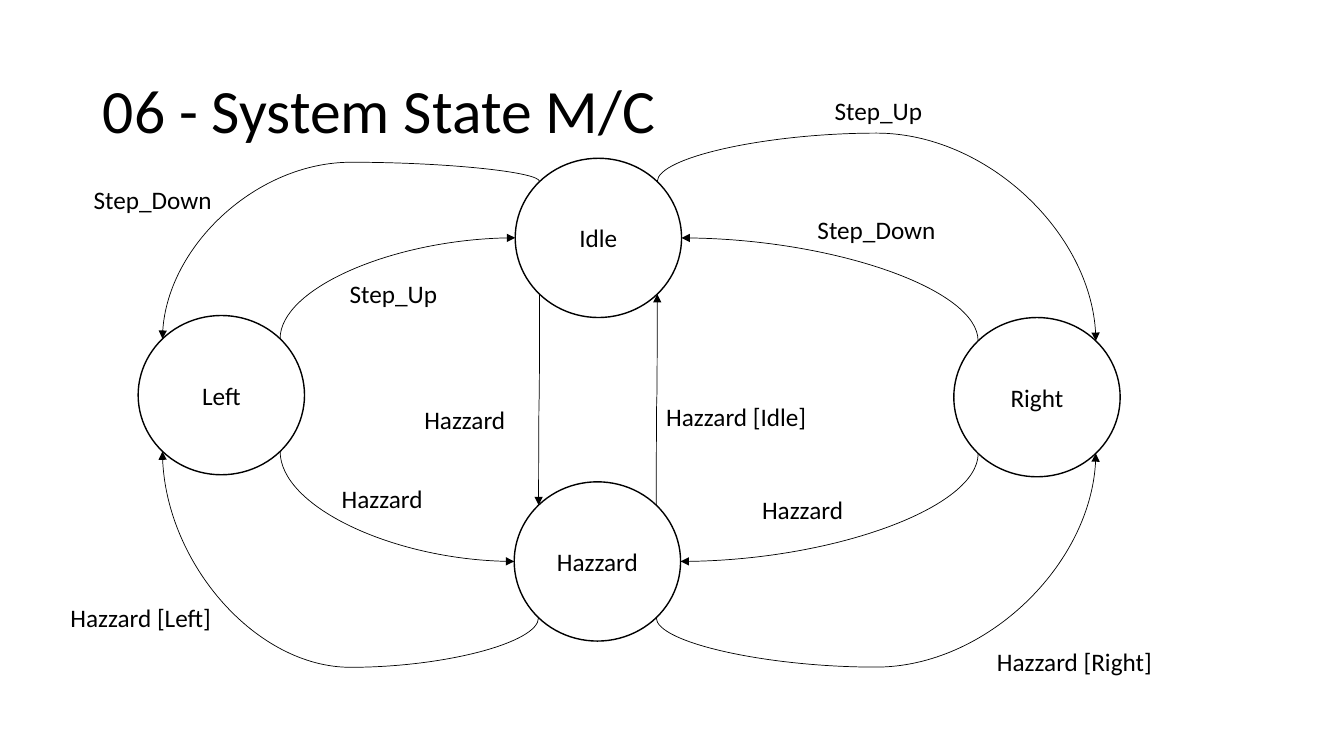
from math import sqrt
from pptx import Presentation
from pptx.dml.color import RGBColor
from pptx.enum.shapes import MSO_CONNECTOR, MSO_SHAPE
from pptx.enum.text import MSO_ANCHOR as ANCHOR, PP_ALIGN as ALIGN
from pptx.oxml.ns import qn
from pptx.util import Inches, Pt
from lxml.etree import SubElement

BLACK, WHITE, FONT = "000000", "FFFFFF", "Calibri"
STATE_WIDTH, STATE_HEIGHT = 1.65, 1.58

TITLE = "06 - System State M/C"

# State name: left, top
STATES = {
    "Idle": (5.11, 1.57),
    "Hazzard": (5.1, 4.78),
    "Left": (1.37, 3.13),
    "Right": (9.46, 3.15),
}

# Connection sites of an ellipse: index, direction from its centre
DIAGONAL = 1 / sqrt(2)
SITES = {
    "top left": (1, -DIAGONAL, -DIAGONAL),
    "left": (2, -1, 0),
    "bottom left": (3, -DIAGONAL, DIAGONAL),
    "bottom right": (5, DIAGONAL, DIAGONAL),
    "right": (6, 1, 0),
    "top right": (7, DIAGONAL, -DIAGONAL),
}

# From state and site, to state and site, height of the bend (None: halfway)
TRANSITIONS = [
    ("Idle", "top left", "Left", "top left", 1.61),
    ("Left", "top right", "Idle", "left", None),
    ("Idle", "top right", "Right", "top right", 1.32),
    ("Right", "top left", "Idle", "right", None),
    ("Idle", "bottom left", "Hazzard", "top left", None),
    ("Hazzard", "top right", "Idle", "bottom right", None),
    ("Hazzard", "bottom left", "Left", "bottom left", 6.62),
    ("Left", "bottom right", "Hazzard", "left", None),
    ("Hazzard", "bottom right", "Right", "bottom right", 6.62),
    ("Right", "bottom left", "Hazzard", "right", None),
]

# Label: left, top, width
LABELS = [
    ("Step_Down", 0.83, 1.78, 1.7),
    ("Step_Up", 3.37, 2.71, 1.7),
    ("Step_Up", 8.18, 0.9, 1.7),
    ("Step_Down", 8.01, 2.08, 1.7),
    ("Hazzard [Idle]", 6.51, 3.93, 1.7),
    ("Hazzard", 4.11, 3.96, 1.7),
    ("Hazzard", 3.29, 4.75, 1.7),
    ("Hazzard [Left]", 0.6, 5.93, 1.7),
    ("Hazzard", 7.46, 4.86, 1.7),
    ("Hazzard [Right]", 9.79, 6.36, 2.34),
]


def color(value):
    return RGBColor.from_string(value)


def write(shape, text, size=18, align=ALIGN.LEFT, anchor=ANCHOR.TOP, spacing=None):
    frame = shape.text_frame
    frame.word_wrap = True
    frame.vertical_anchor = anchor
    paragraph = frame.paragraphs[0]
    paragraph.alignment = align
    paragraph.line_spacing = spacing
    run = paragraph.add_run()
    run.text = text
    run.font.name, run.font.size = FONT, Pt(size)
    run.font.color.rgb = color(BLACK)


def add_state(name, left, top):
    shape = slide.shapes.add_shape(MSO_SHAPE.OVAL, Inches(left), Inches(top),
                                   Inches(STATE_WIDTH), Inches(STATE_HEIGHT))
    shape.shadow.inherit = False
    shape.fill.solid()
    shape.fill.fore_color.rgb = color(WHITE)
    shape.line.color.rgb = color(BLACK)
    shape.line.width = Pt(1)
    write(shape, name, align=ALIGN.CENTER, anchor=ANCHOR.MIDDLE)
    return shape


def site_point(state, site):
    left, top = STATES[state]
    _, across, down = SITES[site]
    return (left + STATE_WIDTH / 2 * (1 + across),
            top + STATE_HEIGHT / 2 * (1 + down))


def add_transition(source, source_site, target, target_site, bend):
    x1, y1 = site_point(source, source_site)
    x2, y2 = site_point(target, target_site)

    # Every curve leaves vertically: lay it out sideways, then turn it by 90 degrees
    middle_x, middle_y = (x1 + x2) / 2, (y1 + y2) / 2
    half_run, half_rise = (y2 - y1) / 2, (x1 - x2) / 2
    connector = slide.shapes.add_connector(
        MSO_CONNECTOR.CURVE,
        Inches(middle_x - half_run), Inches(middle_y - half_rise),
        Inches(middle_x + half_run), Inches(middle_y + half_rise))
    properties = connector._element.spPr
    properties.find(qn("a:xfrm")).set("rot", str(90 * 60000))

    # Glue both ends to the states
    glue = connector._element.find(".//" + qn("p:cNvCxnSpPr"))
    for tag, state, site in (("a:stCxn", source, source_site),
                             ("a:endCxn", target, target_site)):
        SubElement(glue, qn(tag), id=str(state_shapes[state].shape_id),
                   idx=str(SITES[site][0]))

    # A curve into the side of a state is a quarter turn
    geometry = properties.find(qn("a:prstGeom"))
    if target_site in ("left", "right"):
        geometry.set("prst", "curvedConnector2")
    elif bend is not None:
        share = round((bend - y1) / (y2 - y1) * 100000)
        SubElement(geometry.find(qn("a:avLst")), qn("a:gd"),
                   name="adj1", fmla=f"val {share}")

    connector.line.color.rgb = color(BLACK)
    connector.line.width = Pt(0.5)
    SubElement(properties.find(qn("a:ln")), qn("a:tailEnd"), type="triangle")
    SubElement(properties, qn("a:effectLst"))


presentation = Presentation()
presentation.slide_width, presentation.slide_height = Inches(13.33), Inches(7.5)
slide = presentation.slides.add_slide(presentation.slide_layouts[5])

# Title
title = slide.shapes.title
title.left, title.top, title.width, title.height = map(Inches, (0.92, 0.4, 11.5, 1.45))
write(title, TITLE, size=44, anchor=ANCHOR.MIDDLE, spacing=0.9)

# States and the transitions between them
state_shapes = {name: add_state(name, *place) for name, place in STATES.items()}
for transition in TRANSITIONS:
    add_transition(*transition)

# Transition labels
for text, left, top, width in LABELS:
    write(slide.shapes.add_textbox(*map(Inches, (left, top, width, 0.4))), text)

presentation.save("out.pptx")
